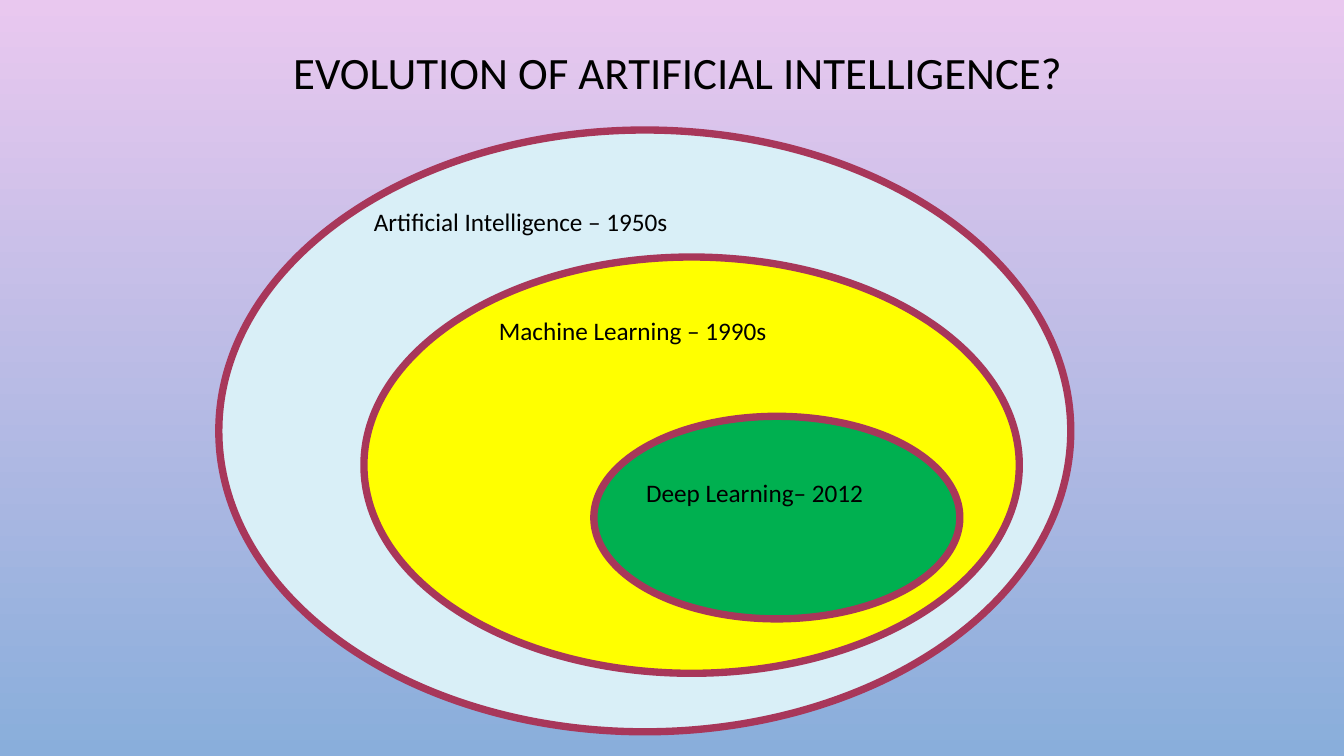
from pptx import Presentation
from pptx.dml.color import RGBColor
from pptx.enum.shapes import MSO_SHAPE
from pptx.enum.text import MSO_ANCHOR, PP_ALIGN
from pptx.util import Inches, Pt

OVAL = MSO_SHAPE.OVAL
TOP, BOTTOM = MSO_ANCHOR.TOP, MSO_ANCHOR.BOTTOM
LEFT, CENTER = PP_ALIGN.LEFT, PP_ALIGN.CENTER
FONT = "Calibri"


def rgb(value):
    return RGBColor.from_string(value)


def add_text(slide, box, text, size, align=LEFT, anchor=TOP):
    sp = slide.shapes.add_textbox(*[Inches(v) for v in box])
    tf = sp.text_frame
    tf.word_wrap = True
    tf.vertical_anchor = anchor
    p = tf.paragraphs[0]
    p.alignment = align
    r = p.add_run()
    r.text = text
    r.font.name = FONT
    r.font.size = Pt(size)
    r.font.color.rgb = rgb("000000")
    return sp


prs = Presentation()
prs.slide_width, prs.slide_height = Inches(13.33), Inches(7.5)
s = prs.slides.add_slide(prs.slide_layouts[6])

# Background gradient, top to bottom
fill = s.background.fill
fill.gradient()
fill.gradient_angle = 270
for stop, color in zip(fill.gradient_stops, ("E9C8EF", "89AEDB")):
    stop.color.rgb = rgb(color)

# Title
title = add_text(s, (0.82, 0.33, 11.81, 0.7),
                 "EVOLUTION OF ARTIFICIAL INTELLIGENCE?", 32, CENTER, BOTTOM)
title.text_frame.paragraphs[0].line_spacing = 0.9

# Nested fields, outermost first: ellipse, fill, label box, label
fields = [
    ((2.17, 1.29, 8.45, 5.97), "D9EFF7",
     (3.61, 2, 3.95, 0.51), "Artificial Intelligence – 1950s"),
    ((3.61, 2.55, 6.5, 4.13), "FFFF00",
     (4.85, 3.08, 3.03, 0.4), "Machine Learning – 1990s"),
    ((5.89, 4.13, 3.63, 2.01), "00B050",
     (6.31, 4.69, 2.62, 0.4), "Deep Learning– 2012"),
]
for oval_box, color, label_box, label in fields:
    sp = s.shapes.add_shape(OVAL, *[Inches(v) for v in oval_box])
    sp.shadow.inherit = False
    sp.fill.solid()
    sp.fill.fore_color.rgb = rgb(color)
    sp.line.color.rgb = rgb("A8375A")
    sp.line.width = Pt(5.25)
    add_text(s, label_box, label, 18)

prs.save("out.pptx")
